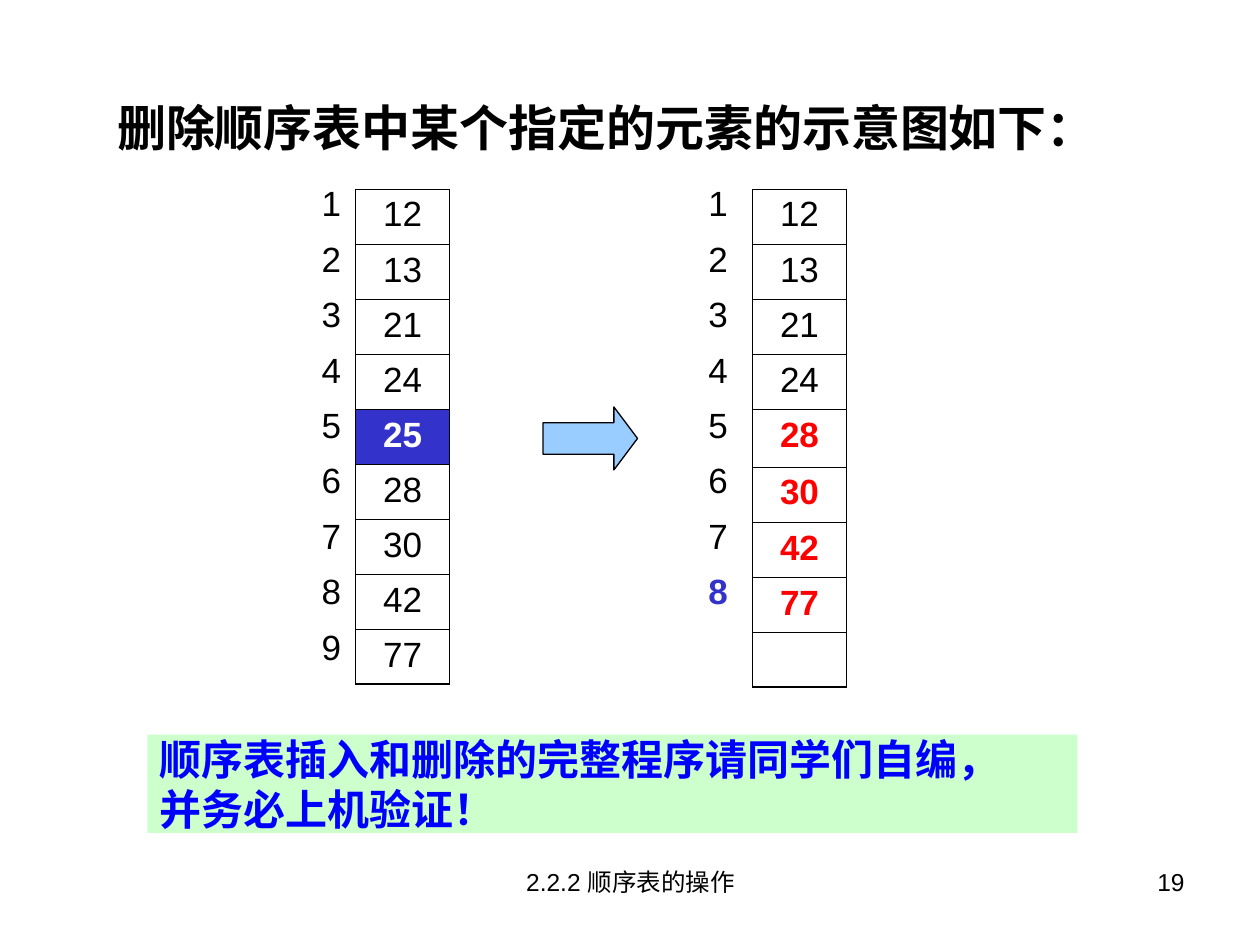
import pptx
import pptx.util
import pptx.dml.color
import pptx.enum.shapes
import pptx.enum.text
from lxml import etree
from pptx.util import Inches

RGBColor = pptx.dml.color.RGBColor
BLACK = RGBColor(0x00, 0x00, 0x00)
WHITE = RGBColor(0xFF, 0xFF, 0xFF)
RED = RGBColor(0xFF, 0x00, 0x00)
BLUE = RGBColor(0x00, 0x00, 0xFF)
INDIGO = RGBColor(0x33, 0x33, 0xCC)
SKY = RGBColor(0x99, 0xCC, 0xFF)
MINT = RGBColor(0xCC, 0xFF, 0xCC)
LATIN, CHINESE = "Arial", "Noto Sans CJK SC"
ALIGN = pptx.enum.text.PP_ALIGN
ANCHOR = pptx.enum.text.MSO_ANCHOR
SHAPE = pptx.enum.shapes.MSO_SHAPE
NS = "http://schemas.openxmlformats.org/drawingml/2006/main"


def add_span(para, text, size, color=BLACK, bold=False, font=LATIN, align=ALIGN.CENTER):
    """Add one formatted run, with the Chinese font for its East Asian letters."""
    para.alignment = align
    span = para.add_run()
    span.text = text
    span.font.name = font
    span.font.size = pptx.util.Pt(size)
    span.font.bold = bold
    span.font.color.rgb = color
    east_asian = etree.Element(f"{{{NS}}}ea", typeface=CHINESE)
    span.font._element.find(f"{{{NS}}}latin").addnext(east_asian)


def add_border(cell, side, width):
    line = etree.Element(f"{{{NS}}}{side}", w=str(pptx.util.Pt(width)))
    fill = etree.SubElement(line, f"{{{NS}}}solidFill")
    etree.SubElement(fill, f"{{{NS}}}srgbClr", val=str(BLACK))
    cell._tc.get_or_add_tcPr().append(line)


deck = pptx.Presentation()
deck.slide_width, deck.slide_height = Inches(10), Inches(7.5)
page = deck.slides.add_slide(deck.slide_layouts[5])

title = page.shapes.title
title.left, title.top = Inches(0.83), Inches(0.72)
title.width, title.height = Inches(7.72), Inches(0.57)
title.text_frame.word_wrap = True
title.text_frame.auto_size = pptx.enum.text.MSO_AUTO_SIZE.NONE
title.text_frame.vertical_anchor = ANCHOR.TOP
add_span(title.text_frame.paragraphs[0], "删除顺序表中某个指定的元素的示意图如下：",
         28, bold=True, font=CHINESE, align=ALIGN.LEFT)

# Each column: left, top, width, row height, boxed, texts, {row: (colour, bold, fill)}
before = [12, 13, 21, 24, 25, 28, 30, 42, 77]
after = [value for value in before if value != 25] + [""]
moved = {row: (RED, True, WHITE) for row in range(4, 8)}
columns = [
    (2.42, 1.42, 0.42, 0.44, False, range(1, 10), {}),
    (2.82, 1.5, 0.75, 3.93 / 9, True, before, {4: (WHITE, True, INDIGO)}),
    (5.49, 1.42, 0.42, 0.44, False, [*range(1, 9), ""], {7: (INDIGO, True, None)}),
    (5.97, 1.5, 0.75, 3.93 / 9, True, after, moved),
]
for left, top, width, row_height, boxed, texts, marks in columns:
    frame = page.shapes.add_table(len(texts), 1, Inches(left), Inches(top),
                                  Inches(width), Inches(row_height * len(texts)))
    table = frame.table
    table.first_row = table.horz_banding = False
    for row, text in enumerate(texts):
        table.rows[row].height = Inches(row_height)
        cell = table.cell(row, 0)
        color, bold, fill = marks.get(row, (BLACK, False, WHITE))
        if boxed:
            for side in ("lnL", "lnR", "lnT", "lnB"):
                last_edge = side == "lnB" and row == len(texts) - 1
                add_border(cell, side, 1.08 if last_edge else 0.45)
            cell.fill.solid()
            cell.fill.fore_color.rgb = fill
        else:
            cell.fill.background()
        if text != "":
            add_span(cell.text_frame.paragraphs[0], str(text), 20, color, bold)
table.rows[4].height = Inches(0.46)

arrow = page.shapes.add_shape(SHAPE.RIGHT_ARROW, Inches(4.31), Inches(3.23),
                              Inches(0.75), Inches(0.5))
arrow.shadow.inherit = False
arrow.adjustments[0], arrow.adjustments[1] = 0.5, 0.375
arrow.fill.solid()
arrow.fill.fore_color.rgb = SKY
arrow.line.color.rgb = BLACK
arrow.line.width = pptx.util.Pt(0.75)

task = page.shapes.add_shape(SHAPE.RECTANGLE, Inches(1.17), Inches(5.83),
                             Inches(7.38), Inches(0.78))
task.shadow.inherit = False
task.fill.solid()
task.fill.fore_color.rgb = MINT
task.line.fill.background()
task.text_frame.word_wrap = True
task.text_frame.vertical_anchor = ANCHOR.MIDDLE
para = task.text_frame.paragraphs[0]
add_span(para, "顺序表插入和删除的完整程序请同学们自编，", 24, BLUE, True, CHINESE, ALIGN.LEFT)
para = task.text_frame.add_paragraph()
add_span(para, "并务必上机验证！", 24, BLUE, True, CHINESE, ALIGN.LEFT)

for left, width, text, align in [(3.42, 3.17, "2.2.2 顺序表的操作", ALIGN.CENTER),
                                 (7.17, 2.33, "19", ALIGN.RIGHT)]:
    box = page.shapes.add_textbox(Inches(left), Inches(6.83), Inches(width), Inches(0.52))
    box.text_frame.word_wrap = True
    add_span(box.text_frame.paragraphs[0], text, 14, align=align)

deck.save("out.pptx")
